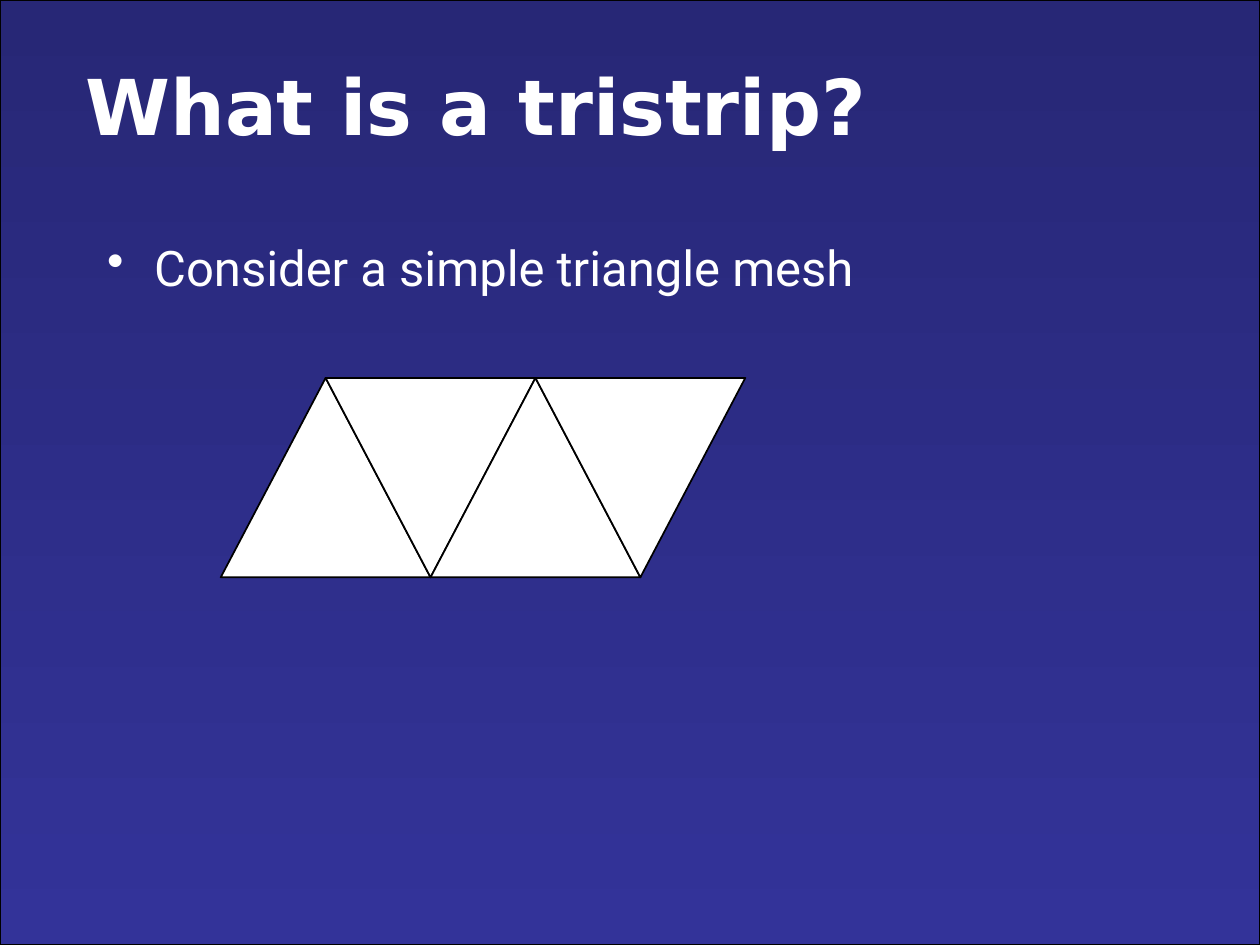
"""Build a slide that introduces the tristrip with a mesh of four triangles."""
from dataclasses import dataclass

from lxml.etree import SubElement
from pptx import Presentation
from pptx.dml.color import RGBColor
from pptx.enum.shapes import MSO_SHAPE
from pptx.enum.text import MSO_ANCHOR
from pptx.oxml.ns import qn
from pptx.util import Cm, Pt

WHITE, BLACK = "FFFFFF", "000000"
NIGHT, INDIGO = "272776", "333399"
SLIDE_WIDTH, SLIDE_HEIGHT = 25.4, 19.05
TRIANGLE_COUNT = 4
TRIANGLE_WIDTH, TRIANGLE_HEIGHT = 4.23, 4.02
MESH_LEFT, MESH_TOP = 4.45, 7.62
BULLET_INDENT = 0.95


@dataclass(frozen=True)
class TextBlock:
    text: str
    left: float
    top: float
    width: float
    height: float
    font: str
    size: float
    bold: bool = False
    bullet: bool = False
    anchor: MSO_ANCHOR = MSO_ANCHOR.TOP


@dataclass(frozen=True)
class Triangle:
    left: float
    inverted: bool


TEXT_BLOCKS = (
    TextBlock("What is a tristrip?", 1.47, 0.64, 21.59, 2.96, "DejaVu Sans", 44,
              bold=True, anchor=MSO_ANCHOR.MIDDLE),
    TextBlock("Consider a simple triangle mesh", 1.91, 4.66, 21.59, 12.28, "Roboto", 28,
              bullet=True),
)
TRIANGLES = [
    Triangle(MESH_LEFT + index * TRIANGLE_WIDTH / 2, index % 2 == 1)
    for index in range(TRIANGLE_COUNT)
]


def color(value: str) -> RGBColor:
    return RGBColor.from_string(value)


def set_outline(shape, width: float) -> None:
    shape.shadow.inherit = False
    shape.line.color.rgb = color(BLACK)
    shape.line.width = Pt(width)


def draw_backdrop(slide) -> None:
    slide.background.fill.solid()
    slide.background.fill.fore_color.rgb = color(INDIGO)
    shape = slide.shapes.add_shape(
        MSO_SHAPE.RECTANGLE, 0, 0, Cm(SLIDE_WIDTH), Cm(SLIDE_HEIGHT))
    shape.fill.gradient()
    shape.fill.gradient_angle = 270
    for stop, value in zip(shape.fill.gradient_stops, (NIGHT, INDIGO)):
        stop.color.rgb = color(value)
    set_outline(shape, 0.75)


def add_bullet(paragraph) -> None:
    properties = paragraph._p.get_or_add_pPr()
    properties.set("marL", str(Cm(BULLET_INDENT)))
    properties.set("indent", str(-Cm(BULLET_INDENT)))
    bullet_color = SubElement(properties, qn("a:buClr"))
    SubElement(bullet_color, qn("a:srgbClr"), val=WHITE)
    SubElement(properties, qn("a:buChar"), char="•")


def draw_text(slide, block: TextBlock) -> None:
    shape = slide.shapes.add_textbox(
        Cm(block.left), Cm(block.top), Cm(block.width), Cm(block.height))
    text_frame = shape.text_frame
    text_frame.word_wrap = True
    text_frame.vertical_anchor = block.anchor
    text_frame.text = block.text
    paragraph = text_frame.paragraphs[0]
    if block.bullet:
        add_bullet(paragraph)
    font = paragraph.runs[0].font
    font.name = block.font
    font.size = Pt(block.size)
    font.bold = block.bold
    font.color.rgb = color(WHITE)


def draw_triangle(group, triangle: Triangle) -> None:
    shape = group.shapes.add_shape(
        MSO_SHAPE.ISOSCELES_TRIANGLE, Cm(triangle.left), Cm(MESH_TOP),
        Cm(TRIANGLE_WIDTH), Cm(TRIANGLE_HEIGHT))
    shape.fill.solid()
    shape.fill.fore_color.rgb = color(WHITE)
    set_outline(shape, 1)
    if triangle.inverted:
        shape.element.spPr.get_or_add_xfrm().set("flipV", "1")


def main() -> None:
    presentation = Presentation()
    presentation.slide_width = Cm(SLIDE_WIDTH)
    presentation.slide_height = Cm(SLIDE_HEIGHT)
    slide = presentation.slides.add_slide(presentation.slide_layouts[6])
    draw_backdrop(slide)
    for block in TEXT_BLOCKS:
        draw_text(slide, block)
    mesh = slide.shapes.add_group_shape()
    for triangle in TRIANGLES:
        draw_triangle(mesh, triangle)
    presentation.save("out.pptx")


if __name__ == "__main__":
    main()
